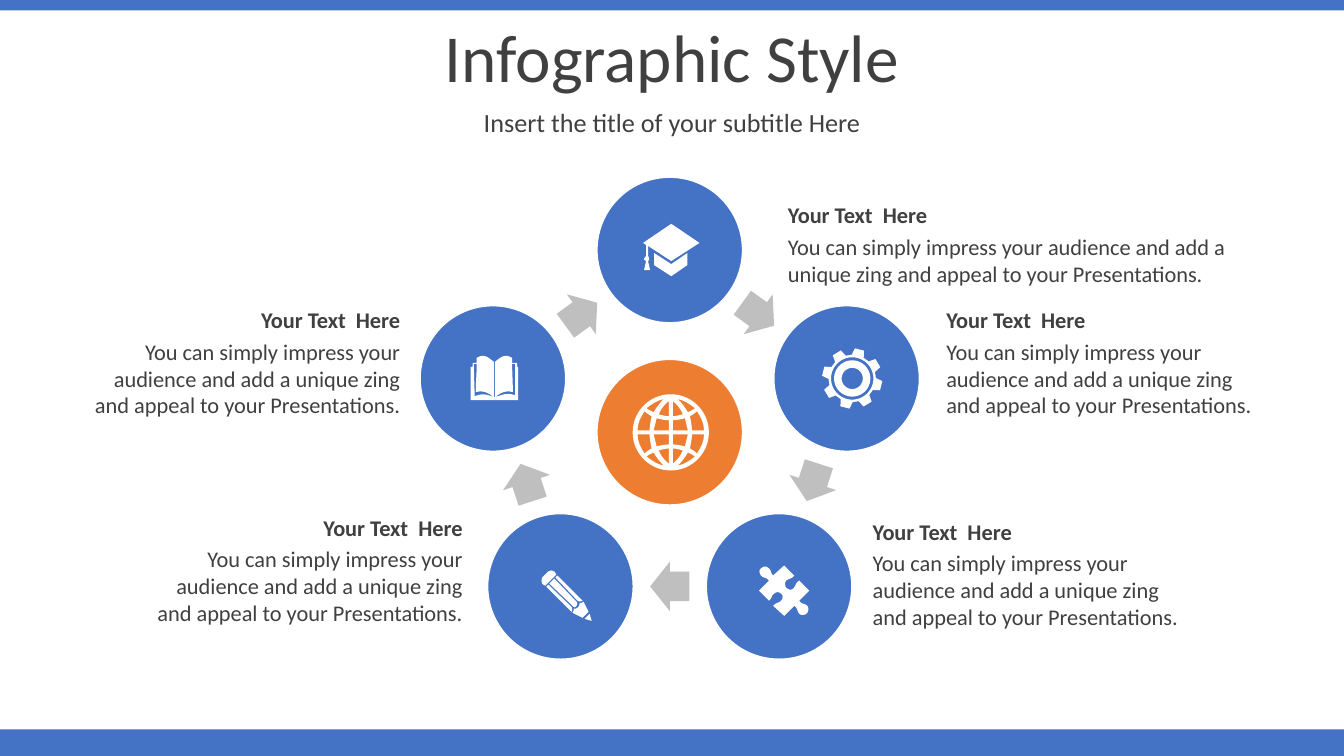
import math
import pptx
import pptx.dml.color
import pptx.enum.shapes
import pptx.enum.text
import pptx.util

Pt = pptx.util.Pt
RGB = pptx.dml.color.RGBColor
SHAPE = pptx.enum.shapes.MSO_SHAPE
ALIGN = pptx.enum.text.PP_ALIGN
ANCHOR = pptx.enum.text.MSO_ANCHOR
AUTO = pptx.enum.text.MSO_AUTO_SIZE

BLUE = RGB(0x44, 0x72, 0xC4)
ORANGE = RGB(0xED, 0x7D, 0x31)
GREY = RGB(0xBF, 0xBF, 0xBF)
DARK = RGB(0x40, 0x40, 0x40)
WHITE = RGB(0xFF, 0xFF, 0xFF)

UNIT = 0.72
CX, CY, RING, DISC = 478.4, 311.4, 132.84, 104
HUB_Y = 308.7

BOOK = """M 491 394 C 491 394 490 394 490 394 C 482 391 479 390 471 393 L 470 361
L 473 361 C 473 370 472 380 472 389 C 478 387 484 389 490 394 L 490 359
C 486 356 483 353 479 353 C 477 353 475 354 473 355 C 473 356 473 358 473 360
L 469 360 L 469 364 L 467 364 L 467 397 L 514 397 L 514 364 L 513 364 L 513 360
L 508 360 C 508 358 508 356 508 355 C 506 354 504 353 502 353
C 498 353 495 356 491 359 L 491 394 C 497 389 503 387 509 389 L 508 361 L 511 361
L 511 392 C 503 389 498 392 491 394"""
PUZZLE = """M 755 564 C 753 565 753 568 755 571 C 757 574 760 572 763 576 L 753 586
L 763 596 C 766 594 765 591 768 589 C 770 587 773 587 775 589
C 777 590 777 594 775 596 C 772 599 771 597 767 601 L 778 611 L 788 601
C 792 604 790 605 793 609 C 795 611 799 610 800 609 C 802 607 803 604 801 601
C 798 598 795 600 793 596 L 803 586 L 793 576 C 789 578 790 581 787 584
C 785 586 782 585 780 583 C 779 582 778 578 780 576 C 784 573 785 575 788 571
L 778 561 L 767 571 C 764 568 766 567 763 564 C 760 561 757 562 755 564"""
CAP = """M 682 251 L 666 262 L 649 251 L 649 263 L 666 274 L 682 263
M 666 222 L 638 241 L 641 243 L 641 254 C 640 255 639 256 639 257
C 639 258 640 258 641 259 L 639 268 L 645 268 L 643 259 C 644 258 644 258 644 257
C 644 256 644 255 643 254 L 643 244 L 666 259 L 694 241"""
PENCIL = """M 585 609 L 580 614 L 587 616
M 579 597 C 577 598 576 599 575 598 C 575 600 575 601 573 603
C 572 604 570 604 569 604 C 570 605 569 606 568 608 L 578 613 L 584 607
M 544 580 L 542 582 L 567 607 C 568 606 568 603 567 602
M 550 574 L 545 579 L 568 601 C 569 603 571 603 572 601 C 573 600 573 598 572 597
M 553 571 L 551 573 L 573 596 C 574 597 576 597 578 596
M 547 566 C 546 566 545 567 544 567 L 538 573 C 537 575 537 577 538 579
C 539 580 540 581 541 581 L 552 570 L 550 567 C 549 567 548 566 547 566"""
GLOBE_QUARTER = """M 17 -20 C 14 -25 11 -29 7 -33 C 13 -32 19 -28 24 -24 C 22 -22 19 -21 17 -20
M 2 -31 L 2 -16 C 5 -16 9 -17 12 -18 C 10 -23 6 -28 2 -31
M 2 -12 C 6 -12 10 -13 14 -14 C 15 -10 16 -6 17 -2 L 2 -2
M 26 -21 C 24 -19 21 -17 19 -16 C 20 -11 21 -6 21 -2 L 33 -2 C 33 -9 30 -15 26 -21"""


def outline(text):
    loops, tokens = [], text.split()
    while tokens:
        kind = tokens.pop(0)
        n = 6 if kind == "C" else 2
        v, tokens = [float(t) for t in tokens[:n]], tokens[n:]
        if kind == "M":
            loops.append([tuple(v)])
        elif kind == "L":
            loops[-1].append(tuple(v))
        else:
            ctrl = [loops[-1][-1], *zip(v[::2], v[1::2])]
            for t in (0.25, 0.5, 0.75, 1):
                w = ((1 - t) ** 3, 3 * t * (1 - t) ** 2, 3 * t * t * (1 - t), t ** 3)
                loops[-1].append(tuple(sum(a * c[i] for a, c in zip(w, ctrl)) for i in (0, 1)))
    return loops


def polar(x, y, radius, degrees):
    a = math.radians(degrees)
    return x + radius * math.sin(a), y - radius * math.cos(a)


def circle(x, y, radius):
    return [polar(x, y, radius, a) for a in range(0, 360, 6)]


def gear(x, y):
    teeth = [polar(x, y, radius, 14 + 45 * k + turn) for k in range(8)
             for turn, radius in ((-15, 23.5), (-9, 30), (9, 30), (15, 23.5))]
    return [teeth] + [circle(x, y, radius) for radius in (21, 18, 10.5)]


def globe(x, y):
    cells = [[(x + sx * px, y + sy * py) for px, py in loop]
             for sx in (1, -1) for sy in (1, -1) for loop in outline(GLOBE_QUARTER)]
    return [circle(x, y, 37.8)] + cells


class Deck:
    font = {"name": "Calibri", "size": Pt(16), "bold": False}

    def __init__(self):
        self.prs = pptx.Presentation()
        self.prs.slide_width, self.prs.slide_height = Pt(960), Pt(540)
        self.s = self.prs.slides.add_slide(self.prs.slide_layouts[6])

    def paint(self, sp, fill, line=None):
        sp.shadow.inherit = False
        sp.fill.solid()
        sp.fill.fore_color.rgb = fill
        if line is None:
            sp.line.fill.background()
        else:
            sp.line.color.rgb = line
            sp.line.width = Pt(1)

    def shape(self, kind, x, y, w, h, fill, line=None):
        sp = self.s.shapes.add_shape(kind, Pt(x), Pt(y), Pt(w), Pt(h))
        self.paint(sp, fill, line)
        return sp

    def disc(self, x, y, fill):
        self.shape(SHAPE.OVAL, x - DISC / 2, y - DISC / 2, DISC, DISC, fill, WHITE)

    def arrow(self, x, y, turn):
        w, h = 28, 35.2
        sp = self.shape(SHAPE.RIGHT_ARROW, x - w / 2, y - h / 2, w, h, GREY)
        sp.adjustments[0], sp.adjustments[1] = 0.6, 0.5
        sp.rotation = turn

    def icon(self, loops):
        loops = [[(Pt(x * UNIT), Pt(y * UNIT)) for x, y in loop] for loop in loops]
        fb = self.s.shapes.build_freeform(*loops[0][0])
        for i, loop in enumerate(loops):
            if i:
                fb.move_to(*loop[0])
            fb.add_line_segments(loop[1:], close=True)
        self.paint(fb.convert_to_shape(), WHITE)

    def text(self, text, x, y, w, h, font=None, para=None, frame=None):
        tf = self.s.shapes.add_textbox(Pt(x), Pt(y), Pt(w), Pt(h)).text_frame
        p = tf.paragraphs[0]
        r = p.add_run()
        r.text = text
        r.font.color.rgb = DARK
        for target, values in ((tf, {"word_wrap": True, **(frame or {})}),
                               (p, para or {}), (r.font, {**self.font, **(font or {})})):
            for name, value in values.items():
                setattr(target, name, value)

    def callout(self, x, y, w, h, align):
        para, frame = {"alignment": align}, {"auto_size": AUTO.SHAPE_TO_FIT_TEXT}
        self.text("You can simply impress your audience and add a unique zing "
                  "and appeal to your Presentations.", x, y + 22.5, w, h, None, para, frame)
        self.text("Your Text  Here", x, y, w, 26.6, {"bold": True}, para, frame)


def main():
    d = Deck()
    d.shape(SHAPE.RECTANGLE, 0, 521, 960, 19, BLUE)
    d.shape(SHAPE.RECTANGLE, 0, 0, 960, 7.5, BLUE)
    heading = {"alignment": ALIGN.CENTER, "line_spacing": 0.9, "space_before": Pt(10)}
    for text, y, h, size in (("Infographic Style", 13, 60.5, 48),
                             ("Insert the title of your subtitle Here", 73.5, 30.2, 18.7)):
        d.text(text, 0, y, 960, h, {"size": Pt(size)}, heading,
               {"vertical_anchor": ANCHOR.MIDDLE})
    for k in range(5):
        d.disc(*polar(CX, CY, RING, 72 * k), BLUE)
        d.arrow(*polar(CX, CY, RING * math.cos(math.pi / 5), 72 * k + 36), 72 * k + 36)
    d.disc(CX, HUB_Y, ORANGE)
    for path in (BOOK, PUZZLE, CAP, PENCIL):
        d.icon(outline(path))
    d.icon(gear(845.5, 375.5))
    d.icon(globe(665.5, 429))
    for x, y, w, h, align in ((49, 215.3, 244, 65.5, ALIGN.RIGHT),
                              (555.8, 140.4, 355, 46, ALIGN.LEFT),
                              (668.9, 215.3, 244, 65.5, ALIGN.LEFT),
                              (616.3, 366.5, 244, 65.5, ALIGN.LEFT),
                              (93.6, 363.6, 244, 65.5, ALIGN.RIGHT)):
        d.callout(x, y, w, h, align)
    d.prs.save("out.pptx")


if __name__ == "__main__":
    main()
